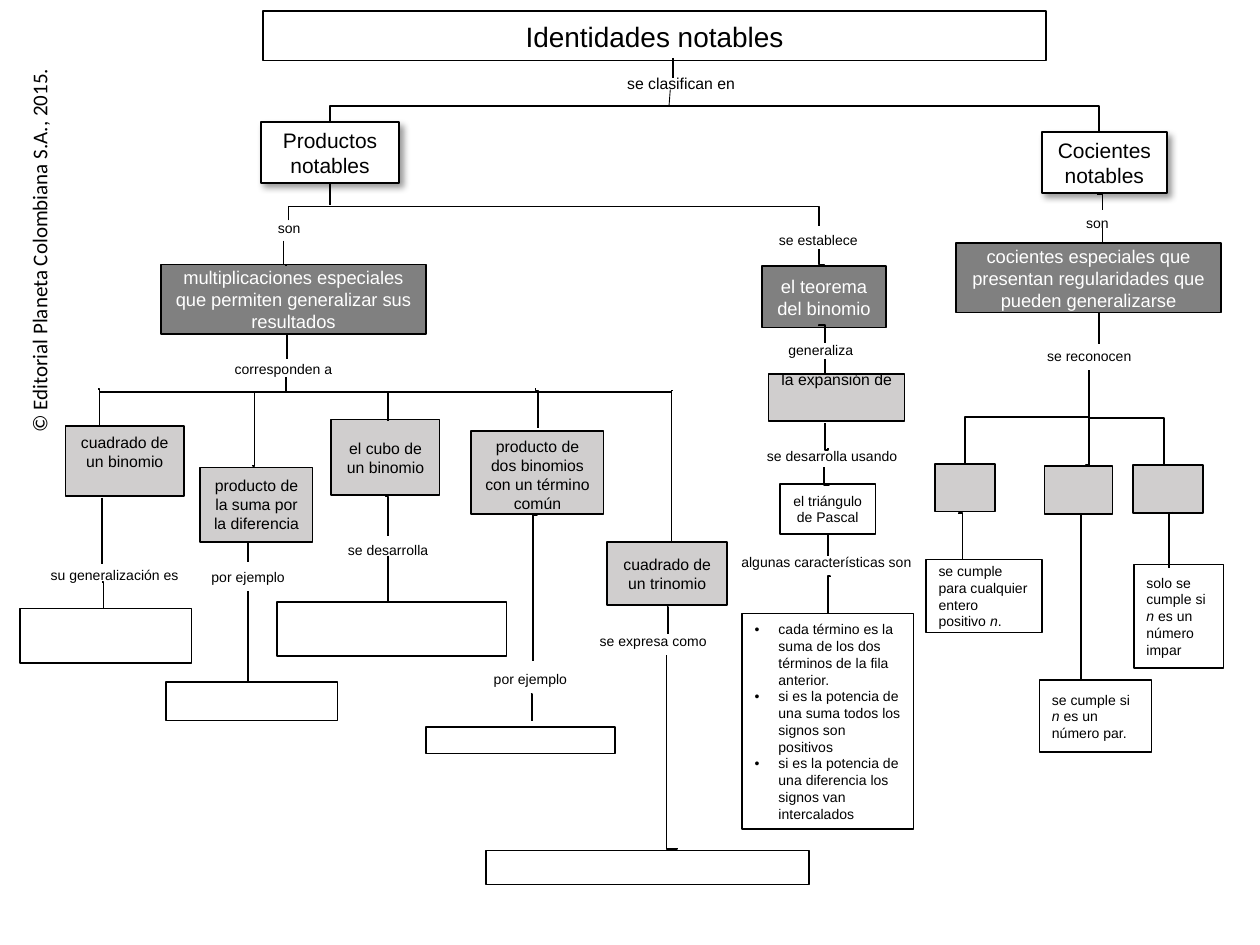
from dataclasses import dataclass
from lxml.etree import SubElement
from pptx import Presentation
from pptx.dml.color import RGBColor as RGB
from pptx.enum.shapes import MSO_CONNECTOR as Link, MSO_SHAPE as Preset
from pptx.enum.text import MSO_ANCHOR as Anchor, MSO_AUTO_SIZE as AutoSize, PP_ALIGN as Align
from pptx.oxml.ns import qn
from pptx.util import Emu, Inches, Pt


@dataclass(frozen=True)
class Theme:
    font: str = "Arial"
    credit_font: str = "Calibri"
    ink: str = "000000"
    paper: str = "FFFFFF"
    light: str = "D0CECE"
    dark: str = "808080"
    title: float = 16
    branch: float = 12
    idea: float = 10.5
    concept: float = 9
    detail: float = 8
    credit: float = 12
    outline: float = 1
    hairline: float = 0.5


THEME = Theme()
COLUMNS, ROWS = 1000, 750
WIDTH, HEIGHT = Inches(10), Inches(7.5)
CELL = WIDTH / COLUMNS

STYLES = {
    "title": (THEME.paper, THEME.ink, THEME.title, Align.CENTER),
    "branch": (THEME.paper, THEME.ink, THEME.branch, Align.CENTER),
    "idea": (THEME.dark, THEME.paper, THEME.idea, Align.CENTER),
    "concept": (THEME.light, THEME.ink, THEME.concept, Align.CENTER),
    "method": (None, THEME.ink, THEME.detail, Align.CENTER),
    "condition": (THEME.paper, THEME.ink, THEME.detail, Align.LEFT),
    "bullets": (None, THEME.ink, THEME.detail, Align.LEFT),
}

CREDIT = ("© Editorial Planeta Colombiana S.A., 2015.", -125, 182, 312, 30)

BOXES = [
    ("title", 209, 9, 621, 39, [("Identidades notables",)]),
    ("branch", 207, 97, 110, 48, [("Productos notables",)]),
    ("branch", 827, 105, 99, 48, [("Cocientes notables",)]),
    ("idea", 128, 210, 210, 55,
     [("multiplicaciones especiales que permiten generalizar sus resultados",)]),
    ("idea", 605, 211, 98, 49, [("el teorema del binomio",)]),
    ("idea", 759, 193, 210, 55,
     [("cocientes especiales que presentan regularidades que pueden generalizarse",)]),
    ("concept", 52, 338, 94, 56, [("cuadrado de un binomio",)]),
    ("concept", 159, 371, 89, 59, [("producto de la suma por la diferencia",)]),
    ("concept", 263, 333, 86, 60, [("el cubo de un binomio",)]),
    ("concept", 374, 342, 105, 66,
     [("producto de dos binomios",), ("con un término común",)]),
    ("concept", 482, 430, 95, 50, [("cuadrado de un trinomio",)]),
    ("concept", 610, 297, 108, 37, [("la expansión de",)]),
    ("concept", 742, 368, 48, 38, []),
    ("concept", 829, 370, 54, 38, []),
    ("concept", 899, 369, 56, 38, []),
    ("method", 619, 384, 76, 40, [("el triángulo de Pascal",)]),
    ("bullets", 589, 487, 136, 171, [
        ("cada término es la suma de los dos términos de la fila anterior.",),
        ("si es la potencia de una suma todos los signos son positivos",),
        ("si es la potencia de una diferencia los signos van intercalados",)]),
    ("condition", 735, 444, 92, 58,
     [("se cumple para cualquier entero positivo ", "n", ".")]),
    ("condition", 825, 540, 89, 57, [("se cumple si ", "n", " es un número par.")]),
    ("condition", 900, 448, 71, 82, [("solo se cumple si ", "n", " es un número impar")]),
    ("method", 16, 483, 136, 43, []),
    ("method", 132, 541, 136, 31, []),
    ("method", 220, 478, 182, 43, []),
    ("method", 338, 577, 150, 21, []),
    ("method", 386, 675, 256, 27, []),
]

INSETS = {
    "cuadrado de un binomio": (5, 20),
    "la expansión de": (0, 29),
}
TOP_ANCHORED = {"producto de dos binomios"}

LABELS = [
    ("se clasifican en", 479, 54, 123, THEME.concept),
    ("son", 210, 169, 39, THEME.detail),
    ("se establece", 600, 179, 99, THEME.detail),
    ("son", 850, 165, 42, THEME.detail),
    ("corresponden a", 174, 281, 102, THEME.detail),
    ("generaliza", 595, 266, 113, THEME.detail),
    ("se reconocen", 820, 271, 89, THEME.detail),
    ("se desarrolla usando", 587, 350, 147, THEME.detail),
    ("algunas características son", 570, 434, 172, THEME.detail),
    ("su generalización es", 30, 445, 122, THEME.detail),
    ("por ejemplo", 151, 446, 92, THEME.detail),
    ("se desarrolla", 262, 425, 92, THEME.detail),
    ("por ejemplo", 375, 527, 92, THEME.detail),
    ("se expresa como", 465, 497, 107, THEME.detail),
]
LABEL_ROWS = 24

DOWNWARD = [
    (262, 97, 872, 105, 84), (229, 175, 650, 179, 164),
    (225, 191, 227, 211, 210), (226, 265, 228, 285, 265),
    (227, 299, 228, 311, 311), (79, 311, 77, 337, 338),
    (202, 311, 201, 369, 370), (305, 310, 308, 334, 311),
    (425, 308, 427, 340, 310), (534, 310, 533, 430, 310),
    (81, 395, 81, 448, 422), (81, 462, 82, 483, 462),
    (204, 430, 197, 446, 430), (197, 469, 200, 541, 541),
    (306, 393, 308, 425, 394), (308, 441, 310, 478, 478),
    (426, 408, 423, 525, 409), (421, 551, 422, 572, 551),
    (529, 482, 530, 503, 482), (529, 520, 537, 673, 674),
    (650, 198, 654, 211, 210), (650, 259, 655, 272, 258),
    (655, 285, 660, 298, 297), (655, 336, 657, 356, 357),
    (654, 371, 658, 384, 385), (657, 424, 657, 441, 433),
    (659, 458, 657, 487, 457), (871, 154, 875, 167, 154),
    (875, 181, 879, 194, 193), (867, 248, 872, 273, 248),
    (864, 294, 766, 368, 331), (864, 331, 862, 371, 369),
    (761, 408, 764, 444, 407), (857, 408, 858, 540, 408),
    (930, 406, 928, 451, 407),
]
SIDEWAYS = [(78, 309, 533, 311, 79), (864, 332, 936, 369, 924)]
STRAIGHT = [
    (534, 46, 534, 62, THEME.outline, None),
    (532, 71, 531, 84, THEME.hairline, None),
    (262, 145, 262, 163, THEME.outline, "Productos notables"),
]


def grid(*cells):
    return [Emu(round(cell * CELL)) for cell in cells]


def color(code):
    return RGB.from_string(code)


def write(paragraph, runs, size, ink=THEME.ink, font=THEME.font):
    for position, words in enumerate(runs):
        run = paragraph.add_run()
        run.text = words
        run.font.name, run.font.size = font, Pt(size)
        run.font.italic = position % 2 == 1
        run.font.color.rgb = color(ink)


def add_bullet(paragraph):
    properties = paragraph._p.get_or_add_pPr()
    indent = grid(19)[0]
    properties.set("marL", str(indent))
    properties.set("indent", str(-indent))
    SubElement(properties, qn("a:buFont"), typeface=THEME.font)
    SubElement(properties, qn("a:buChar"), char="•")


def add_shadow(box):
    effects = box._element.spPr.find(qn("a:effectLst"))
    shadow = SubElement(effects, qn("a:outerShdw"), blurRad=str(Pt(4)), dist=str(Pt(3)),
                        dir="2700000", algn="tl", rotWithShape="0")
    tint = SubElement(shadow, qn("a:srgbClr"), val=THEME.ink)
    SubElement(tint, qn("a:alpha"), val="40000")


def add_box(shapes, style, x, y, w, h, paragraphs):
    fill, ink, size, align = STYLES[style]
    box = shapes.add_shape(Preset.RECTANGLE, *grid(x, y, w, h))
    box.shadow.inherit = False
    if fill:
        box.fill.solid()
        box.fill.fore_color.rgb = color(fill)
    else:
        box.fill.background()
    box.line.color.rgb, box.line.width = color(THEME.ink), Pt(THEME.outline)
    if style == "branch":
        add_shadow(box)
    heading = paragraphs[0][0] if paragraphs else ""
    frame = box.text_frame
    frame.word_wrap = True
    frame.vertical_anchor = Anchor.TOP if heading in TOP_ANCHORED else Anchor.MIDDLE
    frame.margin_top, frame.margin_bottom = grid(*INSETS.get(heading, (5, 5)))
    for index, runs in enumerate(paragraphs):
        paragraph = frame.add_paragraph() if index else frame.paragraphs[0]
        paragraph.alignment = align
        if style == "bullets":
            add_bullet(paragraph)
        write(paragraph, runs, size, ink)
    return heading, box


def add_label(shapes, words, x, y, w, size):
    label = shapes.add_textbox(*grid(x, y, w, LABEL_ROWS))
    label.text_frame.word_wrap = True
    label.text_frame.auto_size = AutoSize.SHAPE_TO_FIT_TEXT
    paragraph = label.text_frame.paragraphs[0]
    paragraph.alignment = Align.CENTER
    write(paragraph, [words], size)


def add_credit(shapes, words, *place):
    credit = shapes.add_textbox(*grid(*place))
    credit.rotation = 270
    credit.text_frame.word_wrap = False
    credit.text_frame.auto_size = AutoSize.SHAPE_TO_FIT_TEXT
    write(credit.text_frame.paragraphs[0], [words], THEME.credit, font=THEME.credit_font)


def add_link(shapes, kind, x1, y1, x2, y2, weight=THEME.outline):
    link = shapes.add_connector(kind, *grid(x1, y1, x2, y2))
    link.line.color.rgb, link.line.width = color(THEME.ink), Pt(weight)
    SubElement(link._element.spPr, qn("a:effectLst"))
    return link


def set_bend(link, share):
    guides = link._element.spPr.find(qn("a:prstGeom")).get_or_add_avLst()
    SubElement(guides, qn("a:gd"), name="adj1", fmla=f"val {round(share * 100000)}")


def add_downward(shapes, x1, y1, x2, y2, bend):
    drop, shift = y2 - y1, abs(x2 - x1)
    left, top = (x1 + x2 - drop) / 2, (y1 + y2 - shift) / 2
    link = add_link(shapes, Link.ELBOW, left, top, left + drop, top + shift)
    frame = link._element.spPr.find(qn("a:xfrm"))
    frame.set("rot", "16200000" if x2 >= x1 else "5400000")
    if x2 >= x1:
        frame.set("flipH", "1")
    set_bend(link, (bend - y1) / drop)


def main():
    deck = Presentation()
    deck.slide_width, deck.slide_height = WIDTH, HEIGHT
    shapes = deck.slides.add_slide(deck.slide_layouts[6]).shapes
    add_credit(shapes, *CREDIT)
    boxes = dict(add_box(shapes, *entry) for entry in BOXES)
    for entry in LABELS:
        add_label(shapes, *entry)
    for entry in DOWNWARD:
        add_downward(shapes, *entry)
    for x1, y1, x2, y2, bend in SIDEWAYS:
        set_bend(add_link(shapes, Link.ELBOW, x1, y1, x2, y2), (bend - x1) / (x2 - x1))
    for *route, source in STRAIGHT:
        link = add_link(shapes, Link.STRAIGHT, *route)
        if source:
            link.begin_connect(boxes[source], 2)
    deck.save("out.pptx")


if __name__ == "__main__":
    main()
